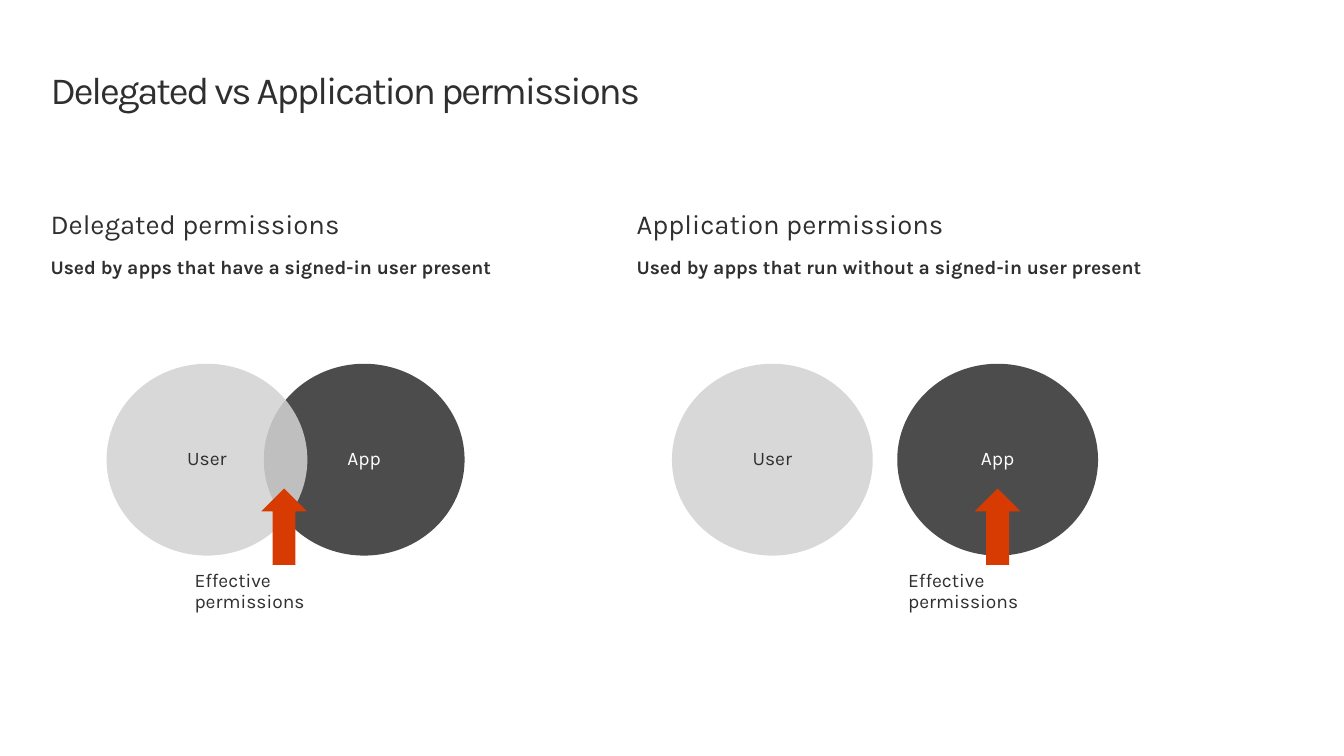
from dataclasses import dataclass

from lxml import etree
from pptx import Presentation
from pptx.dml.color import RGBColor
from pptx.enum.shapes import MSO_SHAPE
from pptx.enum.text import MSO_ANCHOR, PP_ALIGN
from pptx.oxml.ns import qn
from pptx.util import Cm, Pt

ELLIPSE = MSO_SHAPE.OVAL
ARROW = MSO_SHAPE.RIGHT_ARROW
TOP = MSO_ANCHOR.TOP
MIDDLE = MSO_ANCHOR.MIDDLE
LEFT = PP_ALIGN.LEFT
CENTER = PP_ALIGN.CENTER


@dataclass(frozen=True)
class Theme:
    font: str = "Karla"
    dark: str = "2F2F2F"
    light: str = "D2D2D2"
    white: str = "FFFFFF"
    accent: str = "D83B01"
    title_size: int = 28
    heading_size: int = 20
    text_size: int = 14
    circle_opacity: int = 86


def write_text(paragraph, text, *, theme, size, color, bold=False, align=LEFT,
               line_spacing=0.9, before=0, after=0, tracking=0):
    paragraph.alignment = align
    paragraph.line_spacing = line_spacing
    paragraph.space_before = Pt(before)
    paragraph.space_after = Pt(after)
    run = paragraph.add_run()
    run.text = text
    run.font.name = theme.font
    run.font.size = Pt(size)
    run.font.bold = bold
    run.font.color.rgb = RGBColor.from_string(color)
    if tracking:
        run._r.get_or_add_rPr().set("spc", str(round(tracking * 100)))


class SlideBuilder:
    def __init__(self, slide, theme):
        self.slide = slide
        self.theme = theme

    def set_frame(self, shape, horizontal=0, vertical=0, anchor=TOP):
        frame = shape.text_frame
        frame.word_wrap = True
        frame.vertical_anchor = anchor
        frame.margin_left = frame.margin_right = Cm(horizontal)
        frame.margin_top = frame.margin_bottom = Cm(vertical)
        return frame

    def add_box(self, left, top, width, height, **margins):
        box = self.slide.shapes.add_textbox(Cm(left), Cm(top), Cm(width), Cm(height))
        return self.set_frame(box, **margins)

    def add_filled(self, kind, left, top, width, height, color):
        shape = self.slide.shapes.add_shape(kind, Cm(left), Cm(top), Cm(width), Cm(height))
        shape.shadow.inherit = False
        shape.fill.solid()
        shape.fill.fore_color.rgb = RGBColor.from_string(color)
        shape.line.fill.background()
        return shape

    def add_title(self, text):
        frame = self.add_box(1.3, 1.75, 32.03, 1.14)
        write_text(frame.paragraphs[0], text, theme=self.theme, size=self.theme.title_size,
                   color=self.theme.dark, line_spacing=Pt(32), tracking=-1.5)

    def add_heading(self, left, heading, detail):
        theme = self.theme
        frame = self.add_box(left, 5.33, 13.61, 1.83)
        write_text(frame.paragraphs[0], heading, theme=theme, size=theme.heading_size,
                   color=theme.dark, line_spacing=Pt(24))
        write_text(frame.add_paragraph(), detail, theme=theme, size=theme.text_size,
                   color=theme.dark, bold=True, line_spacing=Pt(24), before=4)

    def add_circle(self, left, label, fill, text_color):
        circle = self.add_filled(ELLIPSE, left, 9.35, 5.16, 4.93, fill)
        color = circle._element.spPr.find(qn("a:solidFill"))[0]
        opacity = etree.SubElement(color, qn("a:alpha"))
        opacity.set("val", str(self.theme.circle_opacity * 1000))
        frame = self.set_frame(circle, 0.51, 0.41, MIDDLE)
        write_text(frame.paragraphs[0], label, theme=self.theme, size=self.theme.text_size,
                   color=text_color, align=CENTER)

    def add_pointer(self, left, caption):
        arrow = self.add_filled(ARROW, left, 12.95, 1.96, 1.17, self.theme.accent)
        arrow.rotation = 270
        frame = self.add_box(left - 1.83, 14.27, 5.64, 1.37, horizontal=0.51, vertical=0.41)
        write_text(frame.paragraphs[0], caption, theme=self.theme, size=self.theme.text_size,
                   color=self.theme.dark, after=6)

    def add_permission_column(self, left, heading, detail, user_left, app_left, arrow_left):
        theme = self.theme
        self.add_heading(left, heading, detail)
        self.add_circle(app_left, "App", theme.dark, theme.white)
        self.add_circle(user_left, "User", theme.light, theme.dark)
        self.add_pointer(arrow_left, "Effective permissions")


def main():
    presentation = Presentation()
    presentation.slide_width = Cm(34.54)
    presentation.slide_height = Cm(19.43)
    slide = presentation.slides.add_slide(presentation.slide_layouts[6])
    builder = SlideBuilder(slide, Theme())
    builder.add_title("Delegated vs Application permissions")
    builder.add_permission_column(
        1.3, "Delegated permissions", "Used by apps that have a signed-in user present",
        user_left=2.74, app_left=6.78, arrow_left=6.32)
    builder.add_permission_column(
        16.36, "Application permissions", "Used by apps that run without a signed-in user present",
        user_left=17.27, app_left=23.06, arrow_left=24.66)
    presentation.save("out.pptx")


if __name__ == "__main__":
    main()
